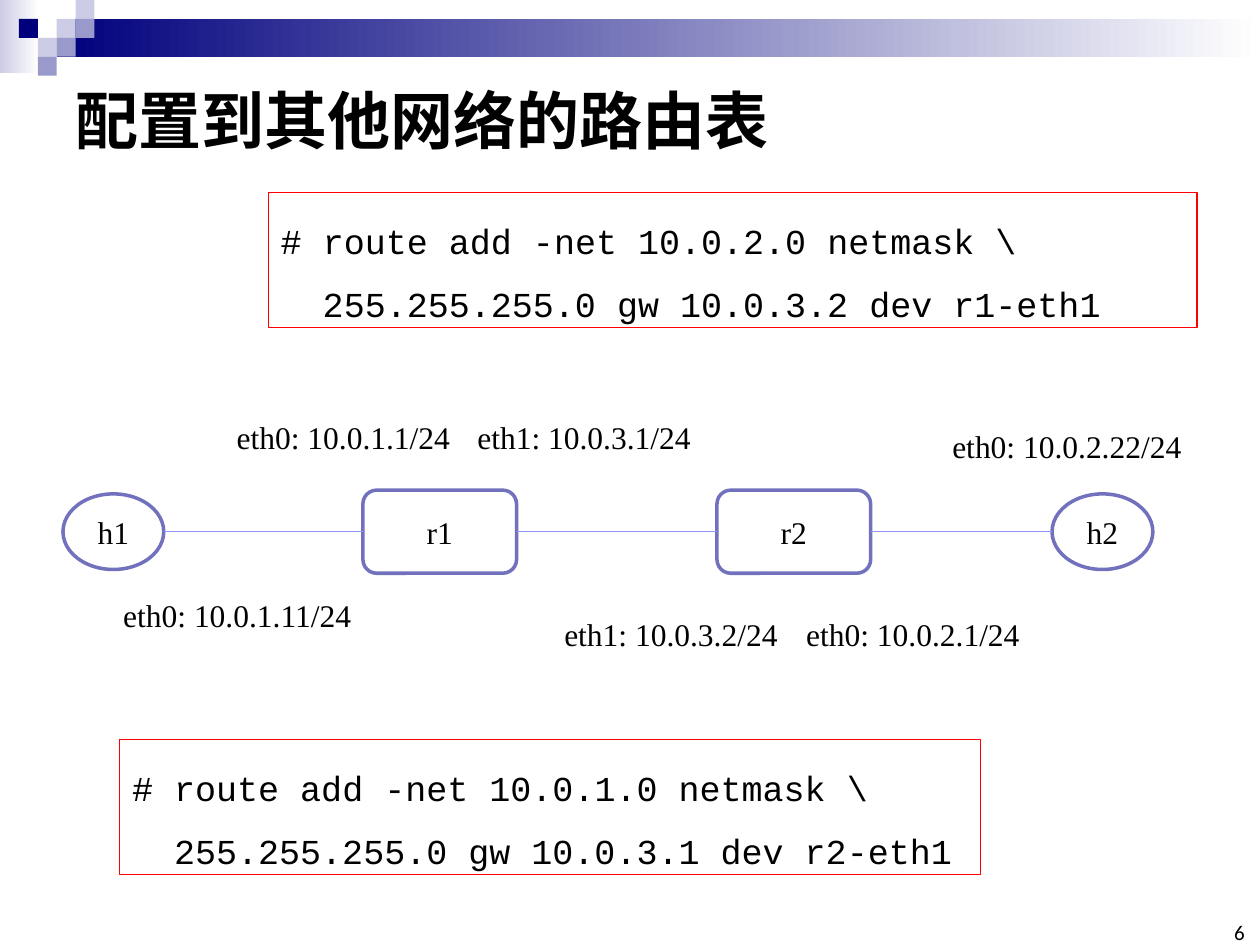
from itertools import pairwise

from lxml import etree
from pptx import Presentation
from pptx.dml.color import RGBColor
from pptx.enum.shapes import MSO_CONNECTOR, MSO_SHAPE
from pptx.enum.text import MSO_ANCHOR, MSO_AUTO_SIZE, PP_ALIGN
from pptx.oxml.ns import qn
from pptx.util import Inches, Pt

RECTANGLE = MSO_SHAPE.RECTANGLE
HOST = MSO_SHAPE.OVAL
ROUTER = MSO_SHAPE.ROUNDED_RECTANGLE
STRAIGHT = MSO_CONNECTOR.STRAIGHT
TOP, MIDDLE, BOTTOM = MSO_ANCHOR.TOP, MSO_ANCHOR.MIDDLE, MSO_ANCHOR.BOTTOM
LEFT, CENTER, RIGHT = PP_ALIGN.LEFT, PP_ALIGN.CENTER, PP_ALIGN.RIGHT

BLACK = RGBColor(0x00, 0x00, 0x00)
WHITE = RGBColor(0xFF, 0xFF, 0xFF)
NAVY = RGBColor(0x00, 0x00, 0x7D)
LAVENDER = RGBColor(0xCC, 0xCC, 0xE6)
PERIWINKLE = RGBColor(0x99, 0x99, 0xCC)
NODE_BORDER = RGBColor(0x71, 0x71, 0xBD)
LINK = RGBColor(0x93, 0x93, 0xFC)
RED = RGBColor(0xFF, 0x00, 0x00)

HEADING_FONT = "Calibri"
LABEL_FONT = "Times New Roman"
CODE_FONT = "Courier New"

SQUARE = 0.15
NODE_AXIS = 4.22
NODE_SIZES = {HOST: (0.8, 0.6), ROUTER: (1.22, 0.66)}

# column and row on the grid of squares, colour
SQUARES = [
    (3, 1, LAVENDER), (4, 0, LAVENDER), (4, 1, PERIWINKLE), (2, 2, LAVENDER),
    (1, 1, NAVY), (3, 2, PERIWINKLE), (2, 3, PERIWINKLE),
]
NODES = [("h1", HOST, 0.5), ("r1", ROUTER, 2.88), ("r2", ROUTER, 5.69), ("h2", HOST, 8.35)]
INTERFACES = [
    ("eth0: 10.0.1.11/24", 0.88, 4.68, 2.03),
    ("eth0: 10.0.1.1/24", 1.78, 3.27, 1.91),
    ("eth1: 10.0.3.1/24", 3.69, 3.27, 1.91),
    ("eth1: 10.0.3.2/24", 4.38, 4.83, 1.91),
    ("eth0: 10.0.2.1/24", 6.3, 4.83, 1.91),
    ("eth0: 10.0.2.22/24", 7.46, 3.34, 2.04),
]
COMMANDS = [
    (0.95, 5.87, 6.83, "# route add -net 10.0.1.0 netmask \\",
     "255.255.255.0 gw 10.0.3.1 dev r2-eth1"),
    (2.13, 1.53, 7.37, "# route add -net 10.0.2.0 netmask \\",
     "255.255.255.0 gw 10.0.3.2 dev r1-eth1"),
]


class SlideBuilder:
    """Holds the current slide and draws each kind of element in its style."""

    def __init__(self, slide):
        self.slide = slide

    def format_text(self, text_frame, font, size, alignment=LEFT, bold=False):
        for paragraph in text_frame.paragraphs:
            paragraph.alignment = alignment
            for run in paragraph.runs:
                run.font.name = font
                run.font.size = Pt(size)
                run.font.bold = bold
                run.font.color.rgb = BLACK

    def shape(self, kind, left, top, width, height, fill=None, border=None, weight=0.75):
        shape = self.slide.shapes.add_shape(
            kind, Inches(left), Inches(top), Inches(width), Inches(height))
        shape.shadow.inherit = False
        if fill is None:
            shape.fill.background()
        else:
            shape.fill.solid()
            shape.fill.fore_color.rgb = fill
        if border is None:
            shape.line.fill.background()
        else:
            shape.line.color.rgb = border
            shape.line.width = Pt(weight)
        return shape

    def fade(self, left, top, width, height, color):
        """Rectangle that fades from the colour to white, left to right."""
        fill = self.shape(RECTANGLE, left, top, width, height).fill
        fill.gradient()
        fill.gradient_angle = 0
        for stop, stop_color in zip(fill.gradient_stops, (color, WHITE)):
            stop.color.rgb = stop_color

    def title(self, text):
        title = self.slide.shapes.title
        title.left, title.top = Inches(0.5), Inches(0.5)
        title.width, title.height = Inches(9), Inches(0.89)
        title.text_frame.text = text
        title.text_frame.vertical_anchor = MIDDLE
        self.format_text(title.text_frame, HEADING_FONT, 36, bold=True)

    def text_box(self, text, left, top, width, height):
        box = self.slide.shapes.add_textbox(
            Inches(left), Inches(top), Inches(width), Inches(height))
        box.text_frame.text = text
        return box.text_frame

    def interface(self, text, left, top, width):
        text_frame = self.text_box(text, left, top, width, 0.4)
        text_frame.word_wrap = False
        text_frame.auto_size = MSO_AUTO_SIZE.SHAPE_TO_FIT_TEXT
        self.format_text(text_frame, LABEL_FONT, 18)

    def page_number(self, number):
        text_frame = self.text_box(number, 9.65, 7.33, 0.23, 0.17)
        text_frame.word_wrap = True
        text_frame.vertical_anchor = BOTTOM
        text_frame.margin_left = text_frame.margin_right = 0
        text_frame.margin_top = text_frame.margin_bottom = 0
        self.format_text(text_frame, HEADING_FONT, 12, RIGHT)

    def node(self, name, kind, left):
        width, height = NODE_SIZES[kind]
        node = self.shape(kind, left, NODE_AXIS - height / 2, width, height,
                          WHITE, NODE_BORDER, 2)
        node.text_frame.text = name
        node.text_frame.vertical_anchor = MIDDLE
        self.format_text(node.text_frame, LABEL_FONT, 18, CENTER)
        return node

    def link(self, start, end):
        axis = Inches(NODE_AXIS)
        link = self.slide.shapes.add_connector(
            STRAIGHT, start.left + start.width, axis, end.left, axis)
        link.line.color.rgb = LINK
        link.line.width = Pt(0.75)
        etree.SubElement(link.element.spPr, qn("a:effectLst"))

    def command(self, left, top, width, first_line, continuation):
        box = self.shape(RECTANGLE, left, top, width, 1.07, border=RED)
        text_frame = box.text_frame
        text_frame.text = f"{first_line}\n{continuation}"
        text_frame.word_wrap = True
        text_frame.vertical_anchor = TOP
        text_frame.auto_size = MSO_AUTO_SIZE.SHAPE_TO_FIT_TEXT
        self.format_text(text_frame, CODE_FONT, 20)
        for paragraph in text_frame.paragraphs:
            paragraph.line_spacing = 1.5
        # two characters of the 20 pt monospaced font
        properties = text_frame.paragraphs[1]._p.get_or_add_pPr()
        properties.set("marL", str(Pt(24)))


def main():
    presentation = Presentation()
    presentation.slide_width = Inches(10)
    presentation.slide_height = Inches(7.5)
    title_only = presentation.slide_layouts[5]
    builder = SlideBuilder(presentation.slides.add_slide(title_only))

    builder.fade(0, 0, 0.31, 0.58, LAVENDER)
    builder.fade(0.45, 0.15, 9.55, 0.3, NAVY)
    for column, row, color in SQUARES:
        builder.shape(RECTANGLE, column * SQUARE, row * SQUARE, SQUARE, SQUARE, color)

    builder.title("配置到其他网络的路由表")
    builder.page_number("6")

    nodes = [builder.node(*node) for node in NODES]
    for start, end in pairwise(nodes):
        builder.link(start, end)
    for interface in INTERFACES:
        builder.interface(*interface)
    for command in COMMANDS:
        builder.command(*command)

    presentation.save("out.pptx")


if __name__ == "__main__":
    main()
